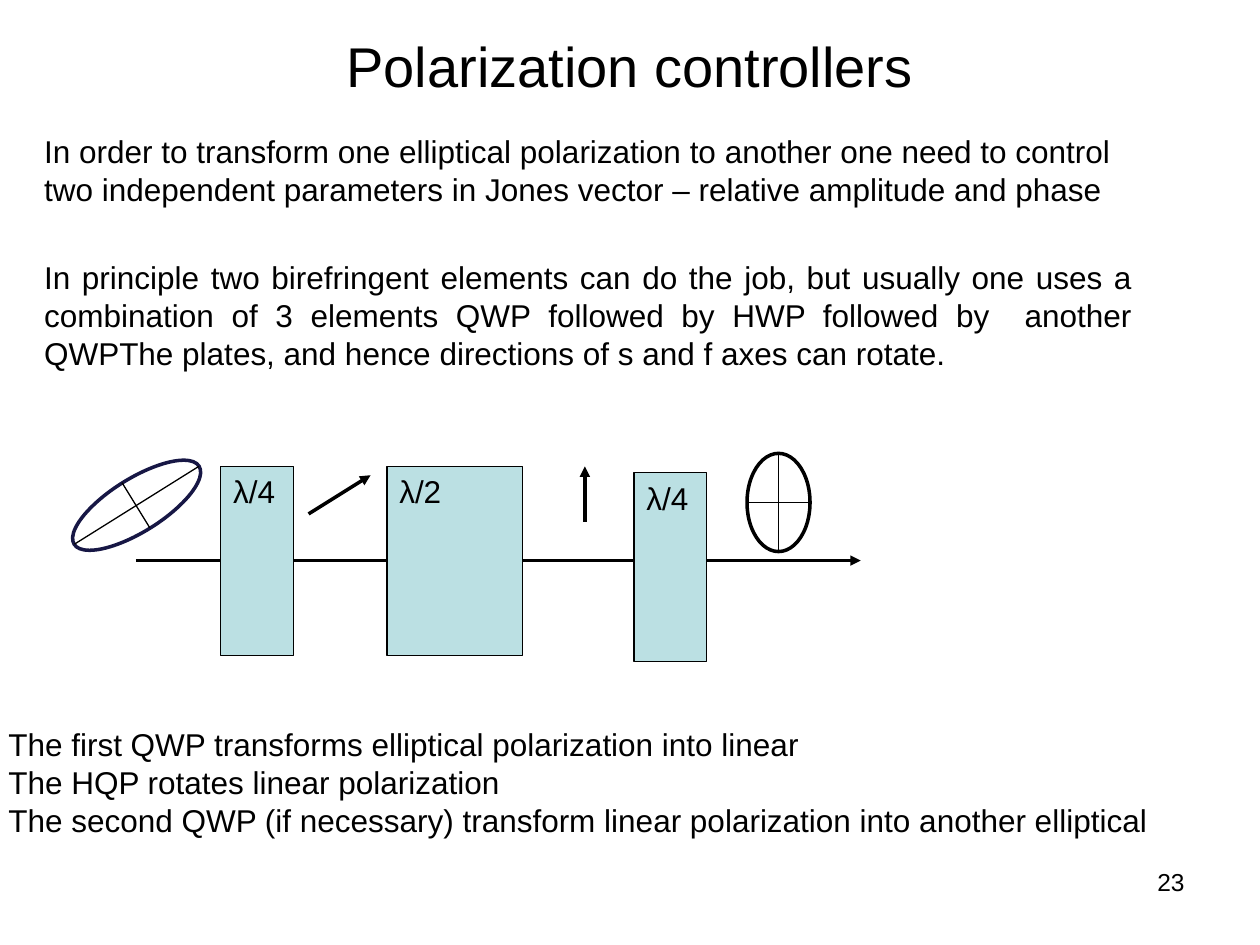
from lxml.etree import SubElement
from pptx import Presentation
from pptx.dml.color import RGBColor
from pptx.enum.shapes import MSO_CONNECTOR, MSO_SHAPE
from pptx.enum.text import MSO_ANCHOR, PP_ALIGN
from pptx.oxml.ns import qn
from pptx.util import Cm, Pt

BLACK = RGBColor(0x00, 0x00, 0x00)
NAVY = RGBColor(0x17, 0x17, 0x45)
PLATE = RGBColor(0xBB, 0xE0, 0xE3)

INTRO = ("In order to transform one elliptical polarization to another one need to control "
         "two independent parameters in Jones vector – relative amplitude and phase")
METHOD = ("In principle two birefringent elements can do the job, but usually one uses a "
          "combination of 3 elements QWP followed by HWP followed by  another QWPThe plates, "
          "and hence directions of s and f axes can rotate.")
STEPS = ["The first QWP transforms elliptical polarization into linear",
         "The HQP rotates linear polarization",
         "The second QWP (if necessary) transform linear polarization into another elliptical"]
PLATES = [("λ/4", 4.45, 9.4, 1.47), ("λ/2", 7.8, 9.4, 2.74), ("λ/4", 12.78, 9.53, 1.47)]


def write(tf, lines, size=18, align=PP_ALIGN.LEFT):
    for i, line in enumerate(lines):
        p = tf.add_paragraph() if i else tf.paragraphs[0]
        p.text = line
        p.alignment = align
        p.font.name = "Arial"
        p.font.size = Pt(size)
        p.font.color.rgb = BLACK


def add_title(s, text):
    title = s.shapes.title
    title.left, title.top, title.width, title.height = Cm(1.27), Cm(0.1), Cm(22.86), Cm(2.44)
    title.text_frame.vertical_anchor = MSO_ANCHOR.MIDDLE
    write(title.text_frame, [text], 32, PP_ALIGN.CENTER)


def add_text(s, lines, x, y, w, h, size=18, align=PP_ALIGN.LEFT, wrap=True):
    tf = s.shapes.add_textbox(Cm(x), Cm(y), Cm(w), Cm(h)).text_frame
    tf.word_wrap = wrap
    write(tf, lines, size, align)


def add_shape(s, kind, x, y, w, h, color, width):
    sp = s.shapes.add_shape(kind, Cm(x), Cm(y), Cm(w), Cm(h))
    sp.shadow.inherit = False
    sp.fill.background()
    sp.line.color.rgb = color
    sp.line.width = Pt(width)
    return sp


def add_plate(s, label, x, y, w):
    sp = add_shape(s, MSO_SHAPE.RECTANGLE, x, y, w, 3.81, BLACK, 0.75)
    sp.fill.solid()
    sp.fill.fore_color.rgb = PLATE
    sp.text_frame.vertical_anchor = MSO_ANCHOR.TOP
    write(sp.text_frame, [label])


def add_line(s, x1, y1, x2, y2, width=0.75, arrow=False):
    line = s.shapes.add_connector(MSO_CONNECTOR.STRAIGHT, Cm(x1), Cm(y1), Cm(x2), Cm(y2))
    line.line.color.rgb = BLACK
    line.line.width = Pt(width)
    if arrow:
        SubElement(line.line._get_or_add_ln(), qn("a:tailEnd"), type="triangle")
    SubElement(line._element.spPr, qn("a:effectLst"))


def add_diagram(s):
    add_line(s, 2.74, 11.3, 17.35, 11.3, 1.75, arrow=True)
    for plate in PLATES:
        add_plate(s, *plate)

    tilted = add_shape(s, MSO_SHAPE.OVAL, 1.27, 9.65, 2.97, 1.07, NAVY, 2)
    tilted.rotation = 328
    add_line(s, 1.5, 10.97, 4.01, 9.4)
    add_line(s, 2.46, 9.73, 3.02, 10.64)

    add_line(s, 6.22, 10.36, 7.47, 9.58, 2, arrow=True)
    add_line(s, 11.79, 10.52, 11.79, 9.4, 2, arrow=True)

    x, y, w, h = 15.06, 9.14, 1.27, 1.98
    add_shape(s, MSO_SHAPE.OVAL, x, y, w, h, BLACK, 2)
    add_line(s, x, y + h / 2, x + w, y + h / 2)
    add_line(s, x + w / 2, y, x + w / 2, y + h)


def main():
    prs = Presentation()
    prs.slide_width, prs.slide_height = Cm(25.4), Cm(19.05)
    s = prs.slides.add_slide(prs.slide_layouts[5])
    add_title(s, "Polarization controllers")
    add_text(s, ["23"], 18.21, 17.35, 5.92, 1.32, 14, PP_ALIGN.RIGHT)
    add_text(s, [INTRO], 0.64, 2.54, 22.43, 1.8)
    add_text(s, [METHOD], 0.64, 5.08, 22.43, 2.57, align=PP_ALIGN.JUSTIFY)
    add_diagram(s)
    add_text(s, STEPS, -0.08, 14.5, 23.7, 3.33, wrap=False)
    prs.save("out.pptx")


if __name__ == "__main__":
    main()
